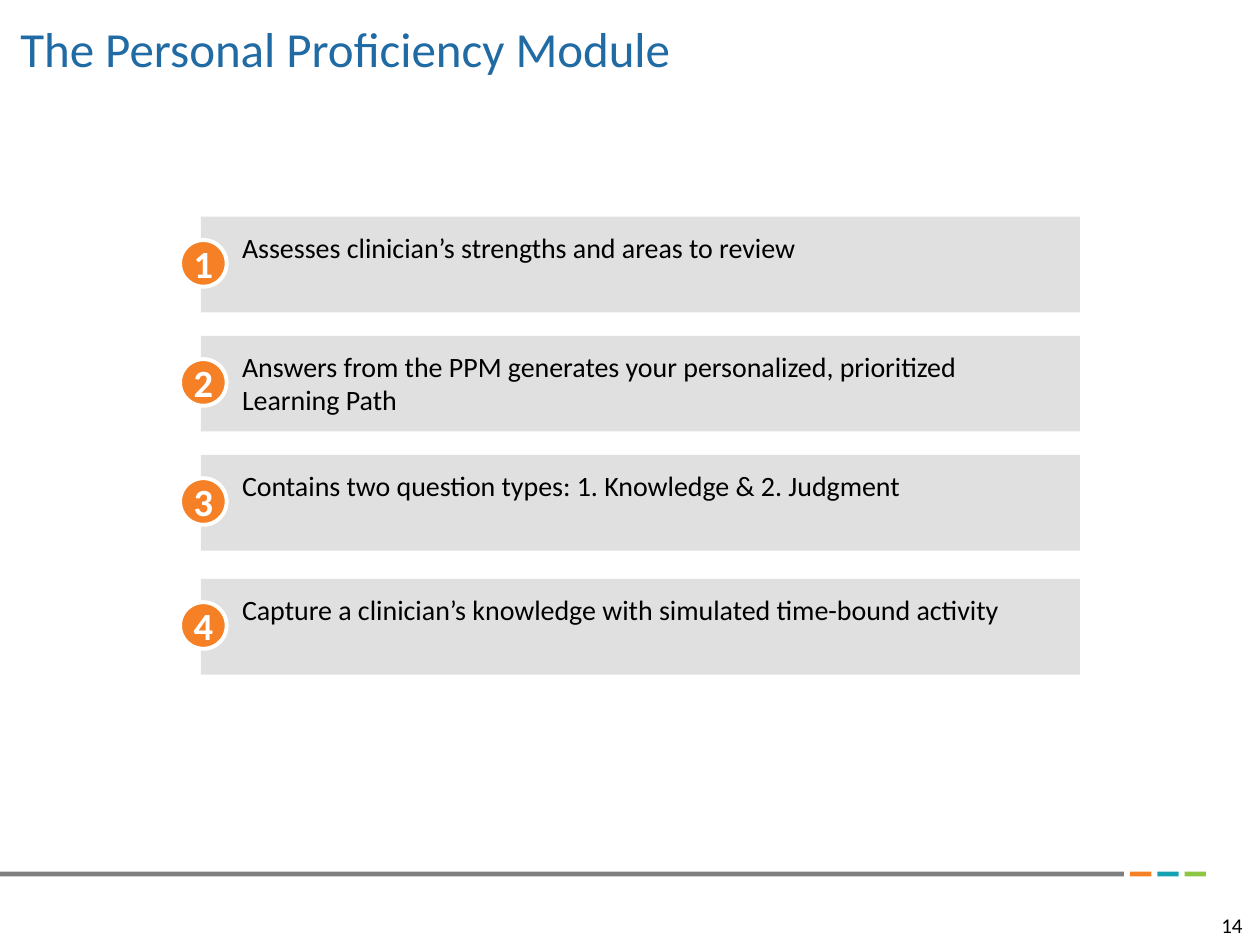
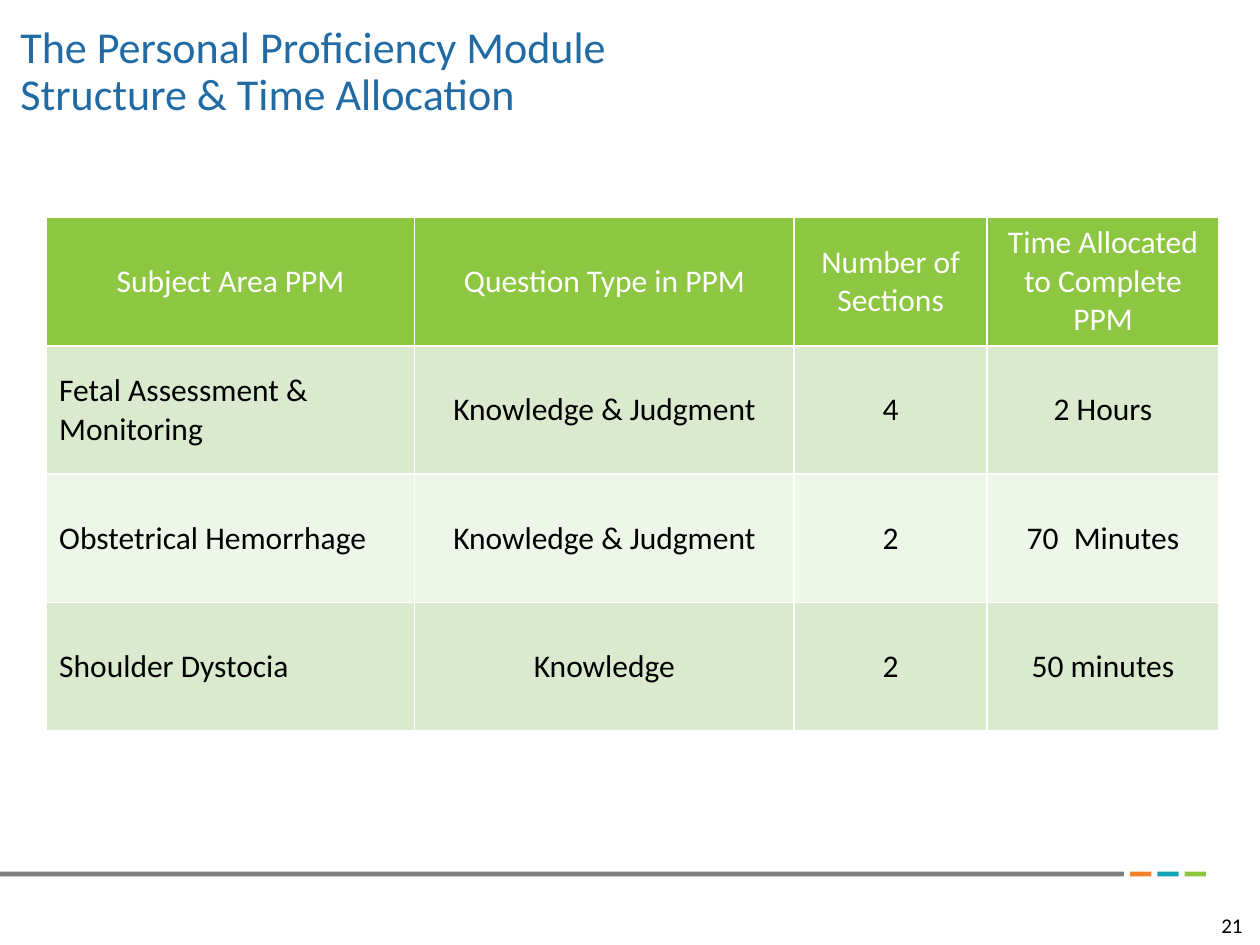
from lxml.etree import SubElement
from pptx import Presentation
from pptx.dml.color import RGBColor
from pptx.enum.shapes import MSO_SHAPE
from pptx.enum.text import MSO_ANCHOR, PP_ALIGN
from pptx.oxml.ns import qn
from pptx.util import Cm, Pt

FONT = "Calibri"
BLUE, ORANGE, TEAL, GREEN = "216BA5", "F58026", "14A2B2", "8DC641"
RULE, CARD, WHITE, BLACK = "7F7F7F", "E0E0E0", "FFFFFF", "000000"
BANDS = ("DBEACF", "EEF5E9")

POINTS = [
    "Assesses clinician’s strengths and areas to review",
    "Answers from the PPM generates your personalized, prioritized Learning Path",
    "Contains two question types: 1. Knowledge & 2. Judgment",
    "Capture a clinician’s knowledge with simulated time-bound activity",
]
# The last card sits slightly lower than the even step
TOPS = (0, 2.4, 4.8, 7.3)

HEADS = ["Subject Area PPM", "Question Type in PPM", "Number of Sections",
         "Time Allocated to Complete PPM"]
ROWS = [
    ["Fetal Assessment & Monitoring", "Knowledge & Judgment", "4", "2 Hours"],
    ["Obstetrical Hemorrhage", "Knowledge & Judgment", "2", "Minutes"],
    ["Shoulder Dystocia", "Knowledge", "2", "50 minutes"],
]
WIDTHS = (7.42, 7.65, 3.89, 4.67)


def color(code):
    return RGBColor.from_string(code)


def write(para, text, size, code, align=PP_ALIGN.LEFT, bold=False):
    para.text = text
    para.alignment = align
    font = para.font
    font.name, font.size, font.bold = FONT, Pt(size), bold
    font.color.rgb = color(code)


def inset(frame, left=0, top=0, right=0):
    frame.margin_left, frame.margin_top = Cm(left), Cm(top)
    frame.margin_right, frame.margin_bottom = Cm(right), 0


def shape(slide, kind, box, fill):
    part = slide.shapes.add_shape(kind, *map(Cm, box))
    part.shadow.inherit = False
    part.fill.solid()
    part.fill.fore_color.rgb = color(fill)
    part.line.fill.background()
    return part


def label(slide, box, text, size, code, align=PP_ALIGN.LEFT,
          anchor=MSO_ANCHOR.TOP):
    frame = slide.shapes.add_textbox(*map(Cm, box)).text_frame
    frame.word_wrap = True
    frame.vertical_anchor = anchor
    inset(frame)
    write(frame.paragraphs[0], text, size, code, align)
    return frame.paragraphs[0]


def base(deck, title, size, page):
    """Blank slide with the title, footer band and page number."""
    slide = deck.slides.add_slide(deck.slide_layouts[6])
    label(slide, (23.55, 18.39, 1.5, 0.51), page, 12, BLACK,
          PP_ALIGN.RIGHT, MSO_ANCHOR.BOTTOM)
    band(slide, 0, 17.57)
    head = label(slide, (0.41, 0.51, 21.06, 1.09), title, size, BLUE)
    head.line_spacing = 0.9
    return slide


def band(slide, left, top):
    rect = MSO_SHAPE.RECTANGLE
    shape(slide, rect, (left, top, 22.66, 0.1), RULE)
    for i, code in enumerate((ORANGE, TEAL, GREEN)):
        shape(slide, rect, (left + 22.78 + i * 0.55, top, 0.43, 0.1), code)


def card(slide, left, top, num, text):
    """Grey bar with a numbered badge over its left edge."""
    bar = shape(slide, MSO_SHAPE.RECTANGLE, (left, top, 17.72, 1.93), CARD)
    frame = bar.text_frame
    frame.word_wrap = True
    frame.vertical_anchor = MSO_ANCHOR.TOP
    inset(frame, 0.83, 0.27, 0.66)
    write(frame.paragraphs[0], text, 16, BLACK)

    badge = shape(slide, MSO_SHAPE.OVAL,
                  (left - 0.42, top + 0.47, 0.94, 0.94), ORANGE)
    badge.line.color.rgb = color(WHITE)
    badge.line.width = Pt(2.25)
    frame = badge.text_frame
    frame.word_wrap = False
    frame.vertical_anchor = MSO_ANCHOR.MIDDLE
    inset(frame)
    write(frame.paragraphs[0], str(num), 22, WHITE, PP_ALIGN.CENTER, True)


def border(cell):
    props = cell._tc.get_or_add_tcPr()
    for i, side in enumerate(("lnL", "lnR", "lnT", "lnB")):
        line = props.makeelement(qn("a:" + side), {"w": str(Pt(1))})
        fill = SubElement(line, qn("a:solidFill"))
        SubElement(fill, qn("a:srgbClr"), val=WHITE)
        props.insert(i, line)


def count(para, start):
    """Number the paragraph automatically from the given value."""
    props = para._p.get_or_add_pPr()
    props.set("marL", str(Cm(0.95)))
    props.set("indent", str(-Cm(0.95)))
    SubElement(props, qn("a:buFont"), typeface=FONT)
    SubElement(props, qn("a:buAutoNum"), type="arabicPlain",
               startAt=str(start))


def grid(slide, left, top, high):
    data = [HEADS] + ROWS
    box = (left, top, sum(WIDTHS), high * len(data))
    table = slide.shapes.add_table(len(data), len(HEADS),
                                   *map(Cm, box)).table
    for col, width in zip(table.columns, WIDTHS):
        col.width = Cm(width)
    for r, texts in enumerate(data):
        table.rows[r].height = Cm(high)
        for c, text in enumerate(texts):
            cell = table.cell(r, c)
            cell.vertical_anchor = MSO_ANCHOR.MIDDLE
            cell.fill.solid()
            cell.fill.fore_color.rgb = color(BANDS[(r - 1) % 2] if r else GREEN)
            border(cell)
            para = cell.text_frame.paragraphs[0]
            if text == "Minutes":
                count(para, 70)
            side = PP_ALIGN.LEFT if r and not c else PP_ALIGN.CENTER
            write(para, text, 18, BLACK if r else WHITE, side)


def main():
    deck = Presentation()
    deck.slide_width, deck.slide_height = Cm(25.4), Cm(19.05)

    # Four numbered points
    slide = base(deck, "The Personal Proficiency Module", 28, "14")
    for num, (top, text) in enumerate(zip(TOPS, POINTS), 1):
        card(slide, 4.05, 4.37 + top, num, text)

    # Time table
    slide = base(deck, "The Personal Proficiency Module\v"
                 "Structure & Time Allocation", 25.2, "21")
    grid(slide, 0.94, 4.38, 2.59)

    deck.save("out.pptx")


if __name__ == "__main__":
    main()
